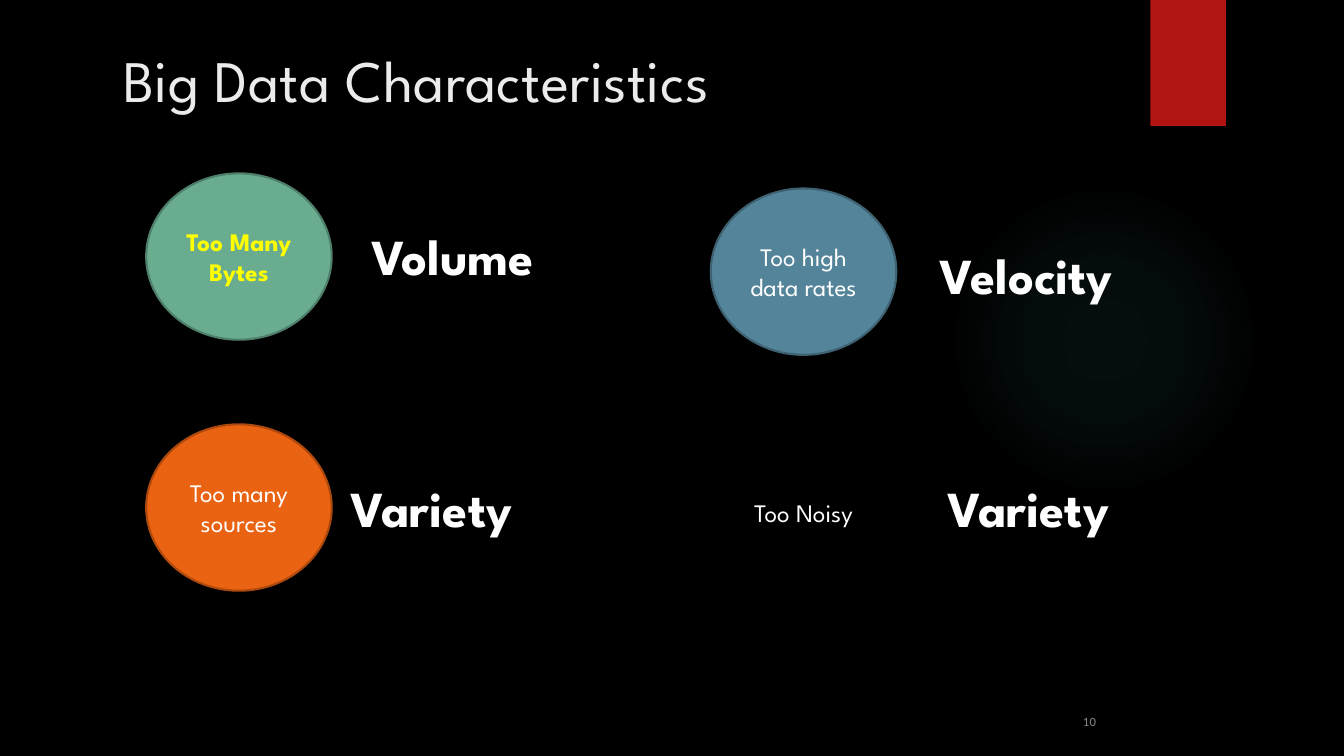
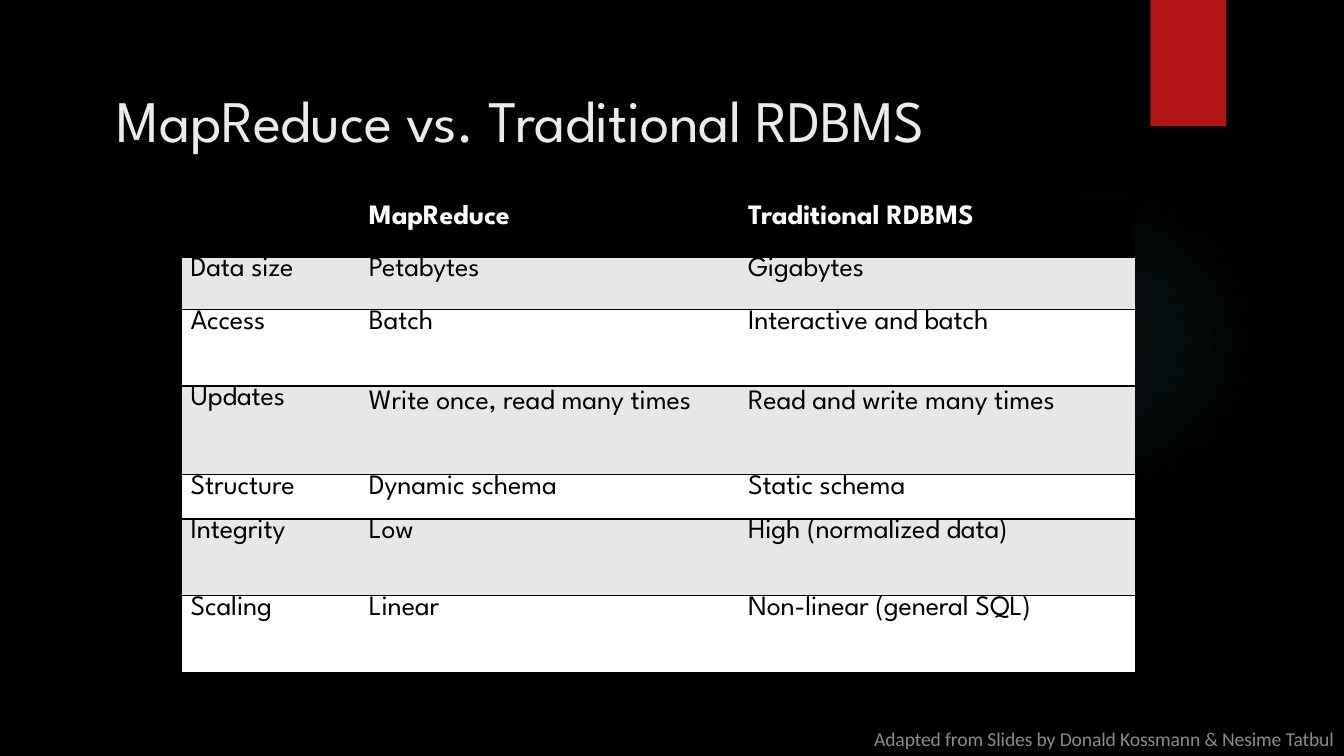
"""Build two slides on big data traits and on MapReduce against a database."""
from lxml import etree
from pptx import Presentation
from pptx.dml.color import RGBColor
from pptx.enum.shapes import MSO_SHAPE
from pptx.enum.text import MSO_ANCHOR, MSO_AUTO_SIZE, PP_ALIGN
from pptx.oxml import parse_xml
from pptx.oxml.ns import qn
from pptx.util import Inches, Pt

OVAL, RECT = MSO_SHAPE.OVAL, MSO_SHAPE.RECTANGLE
TOP, MIDDLE = MSO_ANCHOR.TOP, MSO_ANCHOR.MIDDLE
LEFT, CENTER = PP_ALIGN.LEFT, PP_ALIGN.CENTER
FIXED = MSO_AUTO_SIZE.NONE
SPACE = "http://schemas.openxmlformats.org/drawingml/2006/main"


def color(code):
    return RGBColor.from_string(code)


class Deck:
    font, small = "League Spartan", "Calibri"
    black, white, pale = "000000", "FFFFFF", "E7E7E7"
    head, red, glow = "EBEBEB", "B01513", "50B9C1"

    def __init__(self):
        self.prs = Presentation()
        self.prs.slide_width = Inches(13.33)
        self.prs.slide_height = Inches(7.5)
        self.slide = None

    def start(self, title, left, top, gap):
        self.slide = self.prs.slides.add_slide(self.prs.slide_layouts[5])
        back = self.slide.background.fill
        back.solid()
        back.fore_color.rgb = color(self.black)
        self.halo()
        self.shape(RECT, 11.41, 0, 0.75, 1.25, self.red)
        head = self.slide.shapes.title
        head.left, head.top = Inches(left), Inches(top)
        head.width, head.height = Inches(10), Inches(0.71)
        self.fit(head.text_frame)
        self.label(head.text_frame, title, 42, self.head, gap=gap)

    def fit(self, frame, wrap=True):
        frame.margin_left = frame.margin_right = 0
        frame.margin_top = frame.margin_bottom = 0
        frame.vertical_anchor = TOP
        frame.auto_size = FIXED
        frame.word_wrap = wrap

    def label(self, frame, words, size, tint, bold=False, align=LEFT,
              font=None, gap=0):
        frame.text = words
        line = frame.paragraphs[0]
        line.alignment = align
        for run in line.runs:
            run.font.name = font or self.font
            run.font.size = Pt(size)
            run.font.bold = bold
            run.font.color.rgb = color(tint)
            if gap:
                run.font._element.set("spc", str(round(gap * 100)))

    def shape(self, kind, left, top, width, height, fill, edge=None):
        item = self.slide.shapes.add_shape(
            kind, Inches(left), Inches(top), Inches(width), Inches(height))
        item.shadow.inherit = False
        item.fill.solid()
        item.fill.fore_color.rgb = color(fill)
        if edge:
            item.line.color.rgb = color(edge)
            item.line.width = Pt(1.5)
        else:
            item.line.fill.background()
        return item

    def halo(self):
        item = self.shape(OVAL, 9.41, 1.83, 3.08, 3.08, self.glow)
        stops = "".join(
            f'<a:gs pos="{at}000"><a:srgbClr val="{self.glow}">'
            f'<a:alpha val="{alpha}000"/></a:srgbClr></a:gs>'
            for at, alpha in ((0, 7), (36, 6), (69, 0), (100, 0)))
        grad = parse_xml(
            f'<a:gradFill xmlns:a="{SPACE}"><a:gsLst>{stops}</a:gsLst>'
            '<a:path path="circle"><a:fillToRect l="50000" t="50000" '
            'r="50000" b="50000"/></a:path></a:gradFill>')
        props = item._element.spPr
        props.replace(props.find(qn("a:solidFill")), grad)

    def oval(self, words, left, top, fill, edge, tint=white, bold=False):
        item = self.shape(OVAL, left, top, 1.84, 1.65, fill, edge)
        item.text_frame.vertical_anchor = MIDDLE
        self.label(item.text_frame, words, 18, tint, bold, CENTER)

    def text(self, words, left, top, width, height, size, tint, **style):
        box = self.slide.shapes.add_textbox(
            Inches(left), Inches(top), Inches(width), Inches(height))
        self.fit(box.text_frame, False)
        self.label(box.text_frame, words, size, tint, **style)

    def rule(self, cell):
        props = cell._tc.get_or_add_tcPr()
        for side in "LRTB":
            line = etree.SubElement(props, qn("a:ln" + side), w="12700")
            if side in "LR":
                etree.SubElement(line, qn("a:noFill"))
            else:
                fill = etree.SubElement(line, qn("a:solidFill"))
                etree.SubElement(fill, qn("a:srgbClr"), val=self.black)

    def table(self, rows, left, top, widths, heights):
        grid = self.slide.shapes.add_table(
            len(rows), len(widths), Inches(left), Inches(top),
            Inches(sum(widths)), Inches(sum(heights))).table
        grid.first_row = grid.horz_banding = False
        for column, width in zip(grid.columns, widths):
            column.width = Inches(width)
        for r, (row, height) in enumerate(zip(rows, heights)):
            grid.rows[r].height = Inches(height)
            fill = (self.pale if r % 2 else self.white) if r else self.black
            tint = self.black if r else self.white
            for c, words in enumerate(row):
                cell = grid.cell(r, c)
                cell.margin_left = Inches(0.08)
                cell.margin_right = cell.margin_top = cell.margin_bottom = 0
                self.rule(cell)
                cell.fill.solid()
                cell.fill.fore_color.rgb = color(fill)
                self.label(cell.text_frame, words, 20, tint, not r, gap=-0.1)
                if row[0] == "Updates" and c:
                    cell.text_frame.paragraphs[0].line_spacing = 1.15


def traits(deck):
    deck.start("Big Data Characteristics", 1.22, 0.43, 0.3)
    deck.oval("Too Many Bytes", 1.45, 1.72, "6AAC90", "4E7F6B", "FFFF00", True)
    deck.oval("Too many sources", 1.45, 4.21, "EA6312", "AD490D")
    deck.oval("Too high data rates", 7.05, 1.87, "54849A", "3E6272")
    deck.oval("Too Noisy", 7.05, 4.26, deck.black, deck.black)
    for words, left, top in (("Volume", 3.68, 2.23), ("Velocity", 9.32, 2.42),
                             ("Variety", 3.48, 4.73), ("Variety", 9.4, 4.73)):
        deck.text(words, left, top, 2.31, 0.61, 36, deck.white, bold=True)
    deck.text("10", 10.74, 7.08, 0.17, 0.15, 9, "898989",
              font=deck.small, gap=0.3)


def versus(deck):
    deck.start("MapReduce vs. Traditional RDBMS", 1.16, 0.83, -0.25)
    rows = (
        ("", "MapReduce", "Traditional RDBMS"),
        ("Data size", "Petabytes", "Gigabytes"),
        ("Access", "Batch", "Interactive and batch"),
        ("Updates", "Write once, read many times",
         "Read and write many times"),
        ("Structure", "Dynamic schema", "Static schema"),
        ("Integrity", "Low", "High (normalized data)"),
        ("Scaling", "Linear", "Non-linear (general SQL)"),
    )
    deck.table(rows, 1.81, 2.03, (1.77, 3.76, 3.92),
               (0.52, 0.52, 0.76, 0.88, 0.44, 0.76, 0.76))
    deck.text("Adapted from Slides by Donald Kossmann & Nesime Tatbul",
              8.67, 7.21, 4.63, 0.24, 14, "8A8A8A",
              font=deck.small, gap=-0.1)


def main():
    deck = Deck()
    traits(deck)
    versus(deck)
    deck.prs.save("out.pptx")


if __name__ == "__main__":
    main()
